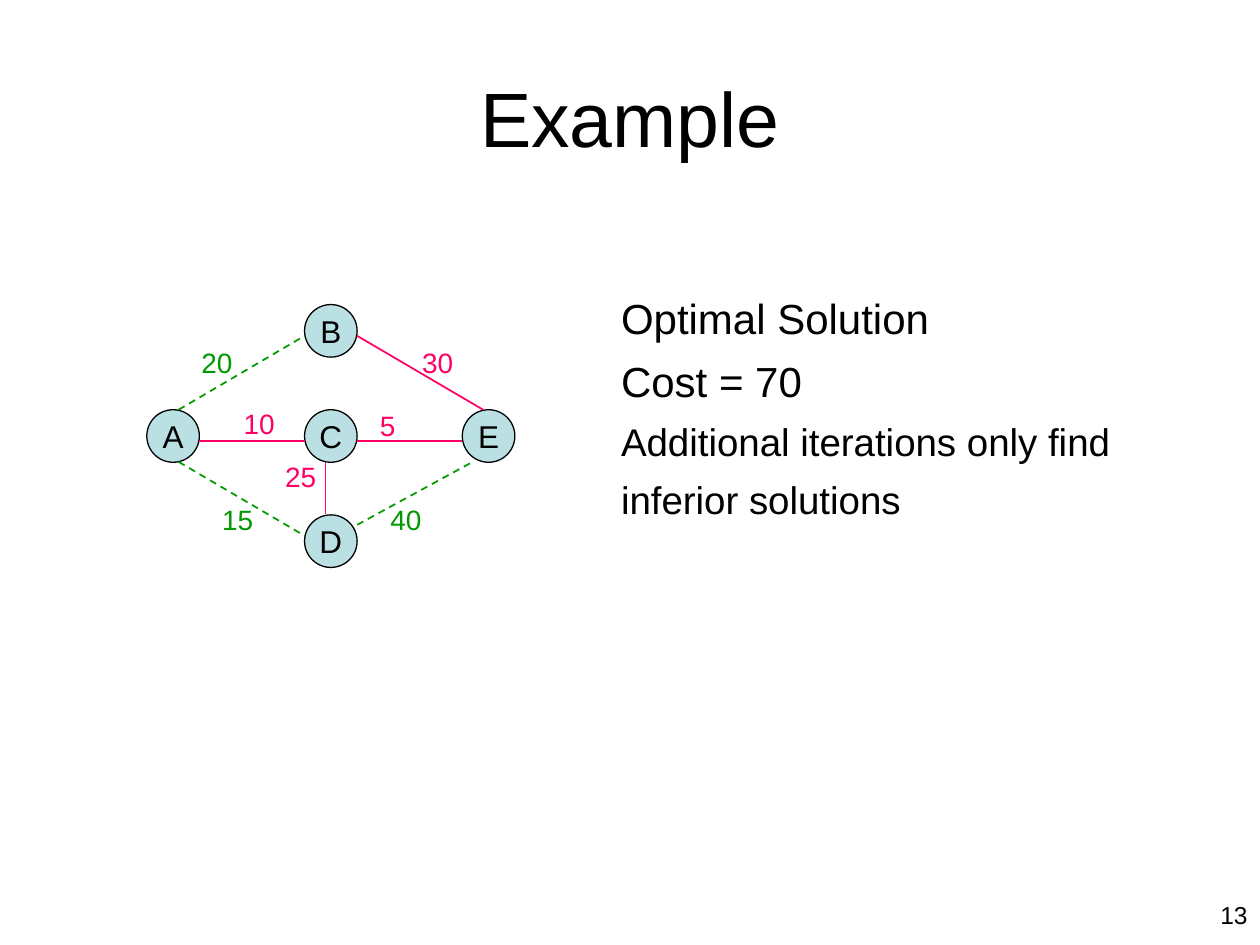
import pptx
import pptx.util
import pptx.dml.color
import pptx.enum.dml
import pptx.enum.shapes
import pptx.enum.text
import pptx.oxml.ns
import lxml.etree

Cm, Pt = pptx.util.Cm, pptx.util.Pt
RGBColor = pptx.dml.color.RGBColor
ALIGN = pptx.enum.text.PP_ALIGN
ANCHOR = pptx.enum.text.MSO_ANCHOR

BLACK = RGBColor(0x00, 0x00, 0x00)
BLUE = RGBColor(0xBB, 0xE0, 0xE3)
PINK = RGBColor(0xFF, 0x00, 0x66)
GREEN = RGBColor(0x00, 0x99, 0x00)

# Node grid: left and top of the first cell, steps, diameter (cm)
LEFT, TOP = 2.96, 6.14
STEP_X, STEP_Y = 3.18, 2.12
SIZE = 1.06

# Name, column, row
NODES = [("A", 0, 1), ("B", 1, 0), ("C", 1, 1), ("D", 1, 2), ("E", 2, 1)]

# Cost, colour, start, end, left and top of the label (cm)
EDGES = [
    ("20", GREEN, (3.6, 8.26), (6.14, 6.77), (3.81, 6.8)),
    ("30", PINK, (7.2, 6.77), (9.74, 8.26), (8.26, 6.8)),
    ("15", GREEN, (3.6, 9.31), (6.14, 10.8), (4.23, 9.97)),
    ("40", GREEN, (7.2, 10.58), (9.53, 9.31), (7.62, 9.97)),
    ("10", PINK, (4.02, 8.89), (6.14, 8.89), (4.66, 8.04)),
    ("5", PINK, (7.2, 8.89), (9.31, 8.89), (7.41, 8.08)),
    ("25", PINK, (6.56, 9.31), (6.56, 10.37), (5.5, 9.1)),
]

# Text and size of each line of the remark
REMARK = [
    ("Optimal Solution", 24),
    ("Cost = 70", 24),
    ("Additional iterations only find", 22),
    ("inferior solutions", 22),
]


def style(para, size, color=BLACK, align=ALIGN.LEFT):
    para.alignment = align
    for run in para.runs:
        run.font.name = "Arial"
        run.font.size = Pt(size)
        run.font.color.rgb = color


def add_text(slide, box, lines, color=BLACK, align=ALIGN.LEFT):
    frame = slide.shapes.add_textbox(*map(Cm, box)).text_frame
    frame.word_wrap = True
    frame.text = "\n".join(text for text, size in lines)
    for para, (text, size) in zip(frame.paragraphs, lines):
        style(para, size, color, align)
        para.line_spacing = 1.05
        para.space_before = Pt(size / 4)


def add_node(slide, name, col, row):
    node = slide.shapes.add_shape(
        pptx.enum.shapes.MSO_SHAPE.OVAL,
        Cm(LEFT + col * STEP_X), Cm(TOP + row * STEP_Y), Cm(SIZE), Cm(SIZE))
    node.shadow.inherit = False
    node.fill.solid()
    node.fill.fore_color.rgb = BLUE
    node.line.color.rgb = BLACK
    node.line.width = Pt(0.75)
    frame = node.text_frame
    frame.margin_left = frame.margin_right = 0
    frame.margin_top = frame.margin_bottom = 0
    frame.vertical_anchor = ANCHOR.MIDDLE
    frame.text = name
    style(frame.paragraphs[0], 18, align=ALIGN.CENTER)


def add_edge(slide, cost, color, start, end, spot):
    edge = slide.shapes.add_connector(
        pptx.enum.shapes.MSO_CONNECTOR.STRAIGHT, *map(Cm, start + end))
    edge.line.color.rgb = color
    edge.line.width = Pt(1)
    if color == GREEN:
        edge.line.dash_style = pptx.enum.dml.MSO_LINE.DASH
    lxml.etree.SubElement(edge._element.spPr, pptx.oxml.ns.qn("a:effectLst"))
    add_text(slide, spot + (1.48, 0.94), [(cost, 16)], color)


def set_title(slide, text):
    title = slide.shapes.title
    title.left, title.top = Cm(1.27), Cm(0.76)
    title.width, title.height = Cm(22.86), Cm(3.18)
    title.text_frame.vertical_anchor = ANCHOR.MIDDLE
    title.text_frame.text = text
    style(title.text_frame.paragraphs[0], 44, align=ALIGN.CENTER)


def main():
    deck = pptx.Presentation()
    deck.slide_width, deck.slide_height = Cm(25.4), Cm(19.05)
    slide = deck.slides.add_slide(deck.slide_layouts[5])
    set_title(slide, "Example")

    # Remark beside the graph
    add_text(slide, (12.27, 5.72, 11.23, 6.55), REMARK)

    # Graph: solid pink edges are in the tree, dashed green ones are not
    for node in NODES:
        add_node(slide, *node)
    for edge in EDGES:
        add_edge(slide, *edge)

    # Slide number
    add_text(slide, (22.43, 17.98, 2.97, 0.69), [("13", 14)],
             align=ALIGN.RIGHT)
    deck.save("out.pptx")


if __name__ == "__main__":
    main()
